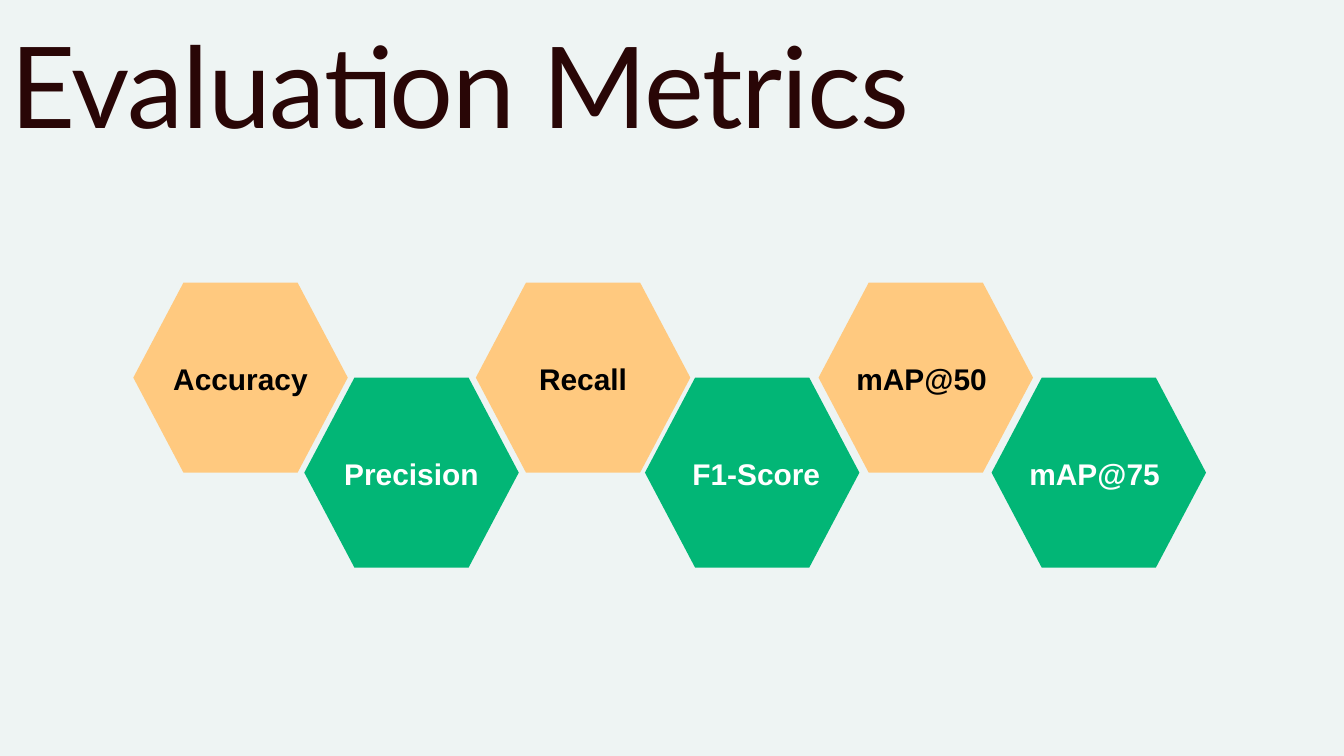
"""Build the Evaluation Metrics slide with a zigzag row of hexagons."""
import pptx
import pptx.dml.color
import pptx.enum.shapes
import pptx.enum.text
import pptx.util

Pt = pptx.util.Pt
RGBColor = pptx.dml.color.RGBColor

MIST = RGBColor(0xEE, 0xF4, 0xF3)
MAROON = RGBColor(0x29, 0x06, 0x06)
ORANGE = RGBColor(0xFF, 0xC9, 0x7F)
GREEN = RGBColor(0x02, 0xB6, 0x76)
BLACK = RGBColor(0, 0, 0)
WHITE = RGBColor(0xFF, 0xFF, 0xFF)

HEX_W, HEX_H = 229.8, 203.6
TOP = 302.8
LABEL_W, LABEL_H = 169.2, 196


def add_label(shapes, text, box, margin, anchor, spacing, font):
    tb = shapes.add_textbox(*[Pt(v) for v in box])
    tf = tb.text_frame
    frame = {"word_wrap": True, "vertical_anchor": anchor}
    for side in ("left", "top", "right", "bottom"):
        frame["margin_" + side] = Pt(margin)
    for name, value in frame.items():
        setattr(tf, name, value)
    p = tf.paragraphs[0]
    p.alignment = pptx.enum.text.PP_ALIGN.CENTER
    p.line_spacing = Pt(spacing)
    r = p.add_run()
    r.text = text
    r.font.color.rgb = font["color"]
    for name in ("name", "size", "bold"):
        setattr(r.font, name, font[name])
    return tb


prs = pptx.Presentation()
prs.slide_width = Pt(1440)
prs.slide_height = Pt(810)
s = prs.slides.add_slide(prs.slide_layouts[6])
s.background.fill.solid()
s.background.fill.fore_color.rgb = MIST

title_font = {"name": "Lato", "size": Pt(121), "bold": False, "color": MAROON}
title = add_label(s.shapes, "Evaluation Metrics", (-39.6, 16.6, 1064.2, 163.4), 0,
                  pptx.enum.text.MSO_ANCHOR.TOP, 145.2, title_font)
title.text_frame.auto_size = pptx.enum.text.MSO_AUTO_SIZE.SHAPE_TO_FIT_TEXT
title.text_frame.paragraphs[0].runs[0].font._element.set("spc", "-120")

metrics = [
    ("Accuracy", 142.8),
    ("Precision", 326),
    ("Recall", 509.8),
    (" F1-Score", 691),
    ("mAP@50 ", 877),
    ("mAP@75 ", 1062.4),
]
for i, (metric, left) in enumerate(metrics):
    lower = i % 2
    top = TOP + lower * HEX_H / 2
    group = s.shapes.add_group_shape()
    hexagon = group.shapes.add_shape(pptx.enum.shapes.MSO_SHAPE.HEXAGON,
                                     Pt(left), Pt(top), Pt(HEX_W), Pt(HEX_H))
    hexagon.adjustments[0] = 0.264
    hexagon.shadow.inherit = False
    hexagon.fill.solid()
    hexagon.fill.fore_color.rgb = GREEN if lower else ORANGE
    hexagon.line.fill.background()
    label_font = {"name": "Arial", "size": Pt(32), "bold": True,
                  "color": WHITE if lower else BLACK}
    box = (left + (HEX_W - LABEL_W) / 2, top + HEX_H - LABEL_H, LABEL_W, LABEL_H)
    add_label(group.shapes, metric, box, 4, pptx.enum.text.MSO_ANCHOR.MIDDLE, 32, label_font)

prs.save("out.pptx")
